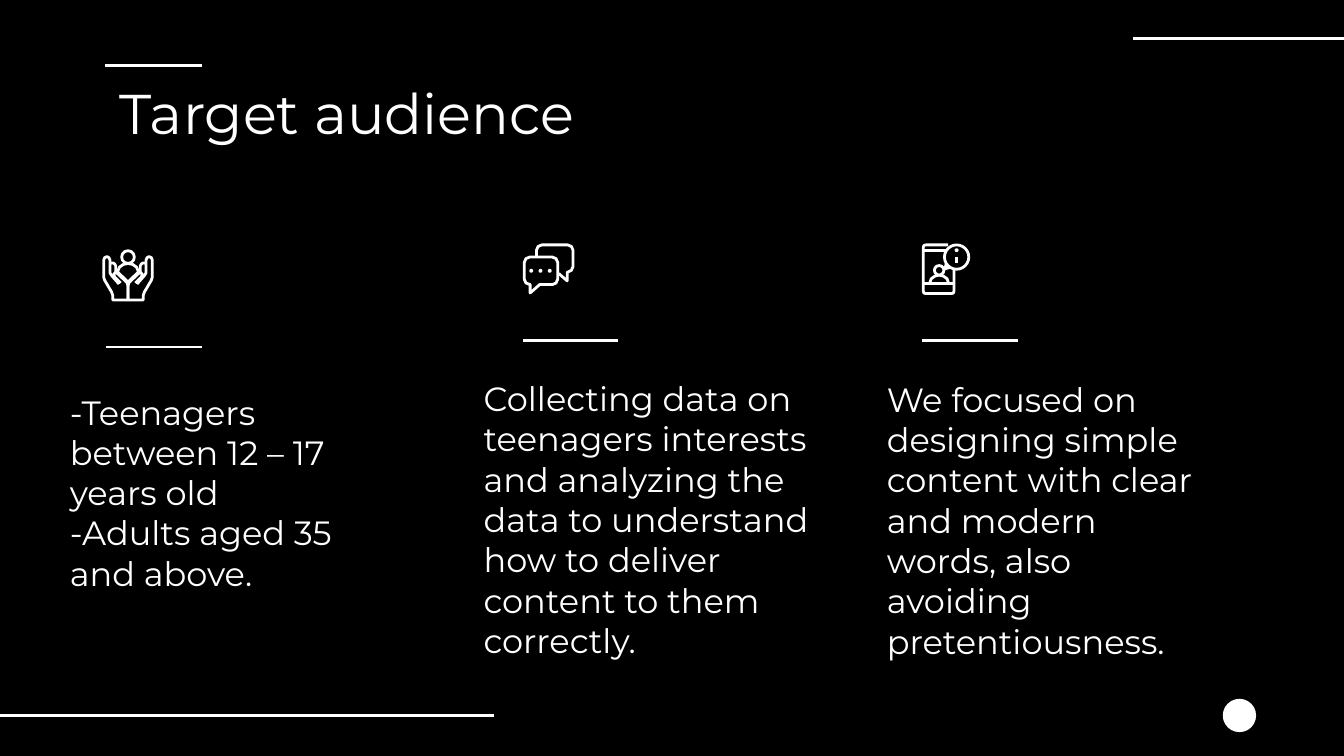
from dataclasses import dataclass

from lxml.etree import SubElement
from pptx import Presentation
from pptx.dml.color import RGBColor
from pptx.enum.shapes import MSO_CONNECTOR, MSO_SHAPE
from pptx.enum.text import MSO_ANCHOR
from pptx.oxml.ns import qn
from pptx.util import Cm, Pt


@dataclass(frozen=True)
class Theme:
    back: RGBColor = RGBColor(0, 0, 0)
    ink: RGBColor = RGBColor(255, 255, 255)
    font: str = "Montserrat"
    title: Pt = Pt(30)
    body: Pt = Pt(18)
    rule: Pt = Pt(1.5)


theme = Theme()
prs = Presentation()
prs.slide_width, prs.slide_height = Cm(25.4), Cm(14.29)
s = prs.slides.add_slide(prs.slide_layouts[6])
s.background.fill.solid()
s.background.fill.fore_color.rgb = theme.back


def add_text(text, left, top, width, height, size=theme.body, anchor=MSO_ANCHOR.BOTTOM):
    """Add a text box, one paragraph for each line of text."""
    tf = s.shapes.add_textbox(Cm(left), Cm(top), Cm(width), Cm(height)).text_frame
    tf.word_wrap = True
    tf.vertical_anchor = anchor
    tf.margin_left = tf.margin_right = tf.margin_top = tf.margin_bottom = Cm(0.25)
    tf.text = text
    for p in tf.paragraphs:
        p.font.name = theme.font
        p.font.size = size
        p.font.color.rgb = theme.ink


def paint(sp, fill=None):
    """Give a shape a white outline and an optional fill."""
    sp.shadow.inherit = False
    sp.line.color.rgb = theme.ink
    sp.line.width = theme.rule
    if fill is None:
        sp.fill.background()
    else:
        sp.fill.solid()
        sp.fill.fore_color.rgb = fill


# Horizontal rules: left, right, height on the slide
rules = [
    (1.99, 3.81, 1.24),
    (21.41, 25.4, 0.73),
    (0, 9.34, 13.53),
    (2.01, 3.82, 6.56),
    (9.88, 11.68, 6.43),
    (17.42, 19.23, 6.43),
]
for left, right, y in rules:
    line = s.shapes.add_connector(MSO_CONNECTOR.STRAIGHT, Cm(left), Cm(y), Cm(right), Cm(y))
    line.line.color.rgb = theme.ink
    line.line.width = theme.rule
    SubElement(line._element.spPr, qn("a:effectLst"))

corner_dot = s.shapes.add_shape(MSO_SHAPE.OVAL, Cm(23.11), Cm(13.21), Cm(0.63), Cm(0.63))
paint(corner_dot, theme.ink)
corner_dot.line.fill.background()

add_text("Target audience", 2.01, 1.24, 21.41, 1.6, size=theme.title, anchor=MSO_ANCHOR.TOP)
add_text("-Teenagers between 12 – 17 years old\n-Adults aged 35 and above.", 1.07, 7.37, 6.4, 4.09)
add_text(
    "Collecting data on teenagers interests and analyzing the data to understand "
    "how to deliver content to them correctly.",
    8.89, 6.43, 6.78, 6.3,
)
add_text(
    "We focused on designing simple content with clear and modern words, "
    "also avoiding pretentiousness.",
    16.51, 7.24, 6.4, 5.5,
)

# Icons are drawn on a grid of 0.01 cm, about 100 units wide
hand = [
    (32, 65), (18, 49), (15, 44), (15, 20), (13, 15), (9, 13), (5, 15), (3, 20),
    (3, 52), (5, 58), (18, 80), (20, 86), (20, 95), (49, 95), (49, 68), (47, 62),
    (29, 45), (25, 43), (22, 47), (24, 52), (35, 63),
]
finger = [(15, 26), (20, 25), (24, 27), (26, 31), (26, 43)]
hands_paths = [
    ([(x if side == 0 else 98 - x, y) for x, y in path], False)
    for path in (hand, finger) for side in (0, 1)
]
hands_paths.append(([(29, 42), (33, 33), (40, 28), (49, 26), (58, 28), (65, 33), (69, 42), (49, 61)], True))

chat_paths = [
    ([(26, 24), (26, 13), (29, 6), (36, 3), (85, 3), (92, 6), (95, 13), (95, 44),
      (92, 51), (84, 55), (84, 71), (68, 57)], False),
    ([(13, 26), (56, 26), (63, 29), (66, 36), (66, 68), (63, 75), (56, 78), (32, 78),
      (14, 94), (14, 78), (6, 75), (3, 68), (3, 36), (6, 29)], True),
]
phone_paths = [
    ([(50, 3), (8, 3), (4, 4), (3, 8), (3, 90), (4, 94), (8, 95), (56, 95), (60, 94),
      (61, 90), (61, 48)], False),
    ([(3, 13), (46, 13)], False),
    ([(3, 76), (61, 76)], False),
    ([(15, 76), (18, 67), (25, 62), (33, 60), (41, 62), (48, 67), (51, 76)], False),
    ([(47, 36), (44, 48), (56, 45)], False),
]

# Each icon: left, top, outlines (points, closed), circles (x, y, diameter, fill)
icons = [
    (1.93, 4.72, hands_paths, [(49, 14, 24, theme.back)]),
    (9.88, 4.6, chat_paths, [(x, 52, 2, theme.ink) for x in (16, 33.5, 51)]),
    (17.42, 4.6, phone_paths, [
        (33, 51, 18, theme.back), (66, 26, 46, theme.back), (66, 13, 2, theme.ink),
    ]),
]
for left, top, paths, circles in icons:
    for points, closed in paths:
        start, *rest = [(left * 100 + x, top * 100 + y) for x, y in points]
        outline = s.shapes.build_freeform(*start, scale=Cm(0.01))
        outline.add_line_segments(rest, close=closed)
        paint(outline.convert_to_shape(), theme.back if closed else None)
    for x, y, size, fill in circles:
        cx, cy, r = left + x / 100, top + y / 100, size / 200
        paint(s.shapes.add_shape(MSO_SHAPE.OVAL, Cm(cx - r), Cm(cy - r), Cm(2 * r), Cm(2 * r)), fill)

info_stem = s.shapes.build_freeform(1808, 485, scale=Cm(0.01))
info_stem.add_line_segments([(1808, 498)], close=False)
paint(info_stem.convert_to_shape())

prs.save("out.pptx")
